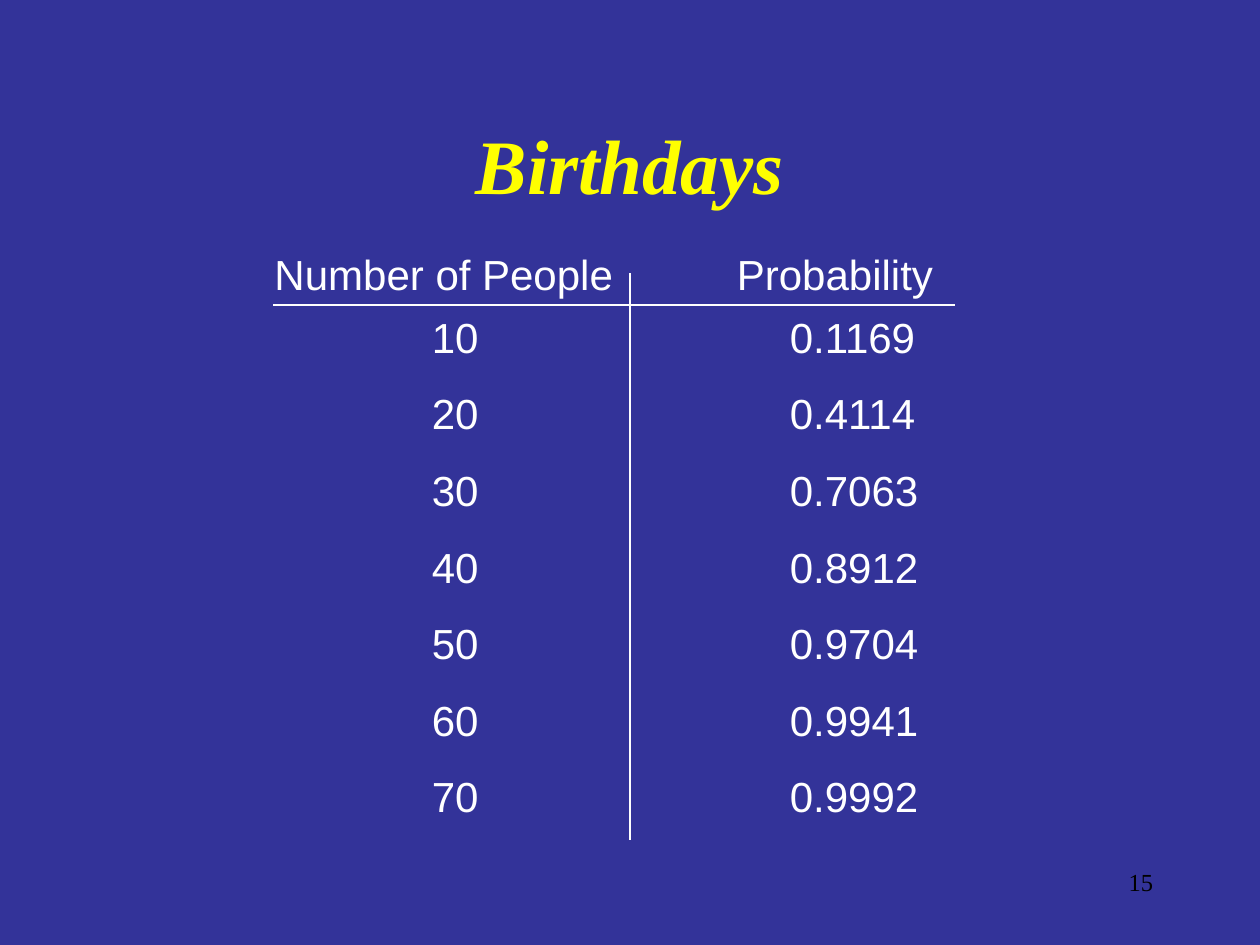
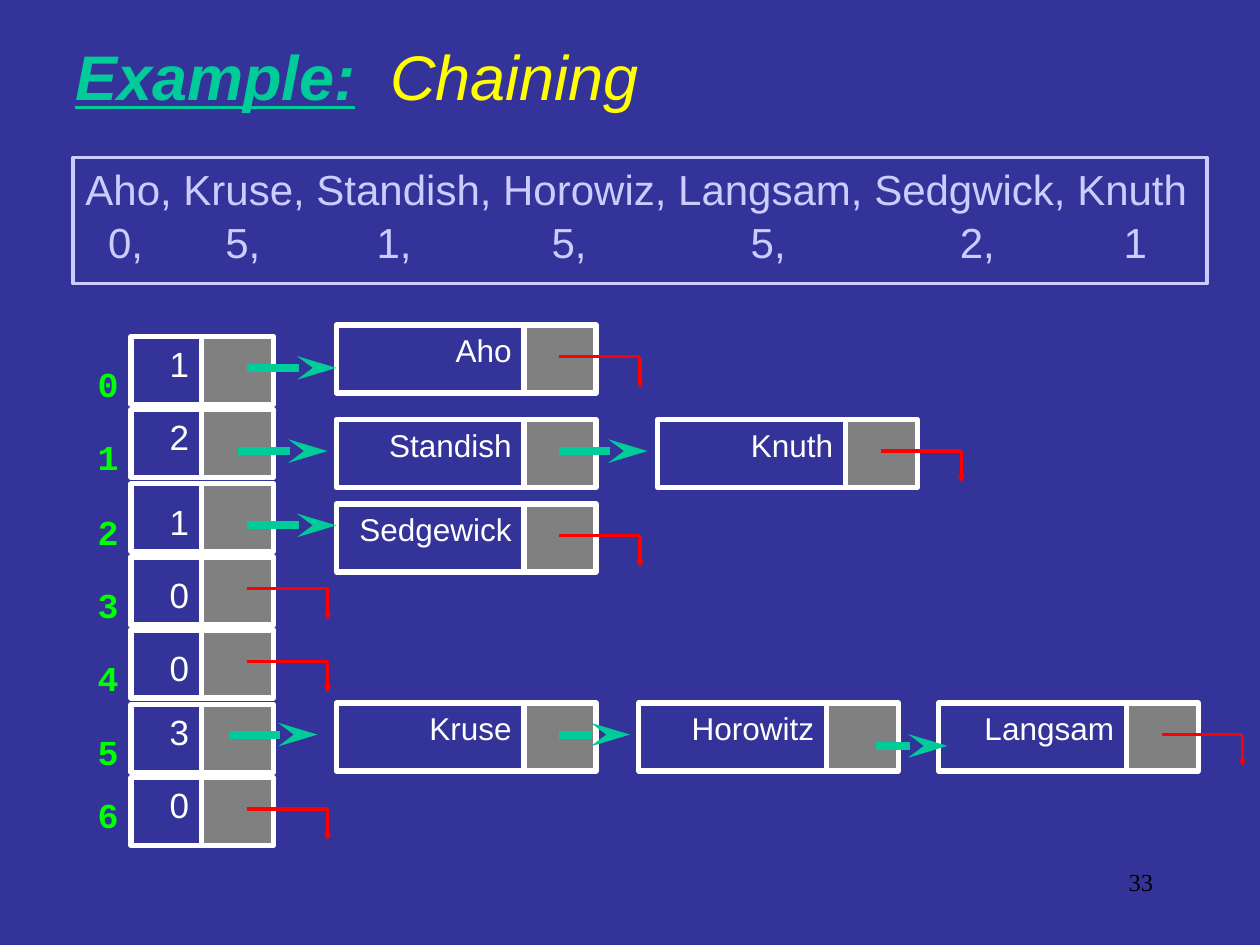
from pptx import Presentation
from pptx.dml.color import RGBColor
from pptx.enum.shapes import MSO_CONNECTOR as CONN, MSO_SHAPE as SHAPE
from pptx.enum.text import MSO_ANCHOR as ANCHOR, PP_ALIGN as ALIGN
from pptx.oxml.ns import qn
from pptx.util import Pt
from lxml.etree import SubElement

PX = 9144
COLORS = {
    "background": "333399",
    "title": "FFFF00",
    "accent": "00CC99",
    "text": "FFFFFF",
    "keys": "CCCCFF",
    "index": "00FF00",
    "pointer": "808080",
    "null": "FF0000",
    "number": "000000",
}
HEADS = {"stealth": "lg", "triangle": "sm"}


def color(name):
    return RGBColor.from_string(COLORS[name])


class Deck:
    def __init__(self):
        self.prs = Presentation()
        self.prs.slide_width, self.prs.slide_height = 1000 * PX, 750 * PX
        self.s = None

    def slide(self, number):
        self.s = self.prs.slides.add_slide(self.prs.slide_layouts[6])
        self.s.background.fill.solid()
        self.s.background.fill.fore_color.rgb = color("background")
        self.text(717, 683, 208, 50, [number], 14, "number", "Times New Roman", ALIGN.RIGHT)

    def fill_text(self, tf, lines, size, ink="text", font="Arial", align=ALIGN.LEFT,
                  bold=False, italic=False, before=0, tabs=()):
        tf.word_wrap = True
        for i, line in enumerate(lines):
            p = tf.paragraphs[0] if i == 0 else tf.add_paragraph()
            p.alignment = align
            p.space_before = Pt(before)
            if tabs:
                tab_list = SubElement(p._p.get_or_add_pPr(), qn("a:tabLst"))
                for pos in tabs:
                    SubElement(tab_list, qn("a:tab"), pos=str(pos * PX), algn="l")
            p.font.size, p.font.name = Pt(size), font
            p.font.bold, p.font.italic = bold, italic
            p.font.color.rgb = color(ink)
            p.add_run().text = line

    def text(self, x, y, w, h, lines, *style, anchor=ANCHOR.TOP, **options):
        sp = self.s.shapes.add_textbox(x * PX, y * PX, w * PX, h * PX)
        sp.text_frame.vertical_anchor = anchor
        self.fill_text(sp.text_frame, lines, *style, **options)
        return sp.text_frame

    def box(self, x, y, w, h, line="text", width=3, fill=None):
        sp = self.s.shapes.add_shape(SHAPE.RECTANGLE, x * PX, y * PX, w * PX, h * PX)
        sp.shadow.inherit = False
        sp.line.color.rgb, sp.line.width = color(line), Pt(width)
        if fill:
            sp.fill.solid()
            sp.fill.fore_color.rgb = color(fill)
        else:
            sp.fill.background()
        return sp

    def line(self, x1, y1, x2, y2, ink="text", width=1, head=None):
        c = self.s.shapes.add_connector(CONN.STRAIGHT, x1 * PX, y1 * PX, x2 * PX, y2 * PX)
        c.line.color.rgb, c.line.width = color(ink), Pt(width)
        if head:
            SubElement(c.line._get_or_add_ln(), qn("a:tailEnd"), type=head,
                       w="med" if head == "stealth" else "sm", len=HEADS[head])
        SubElement(c._element.spPr, qn("a:effectLst"))

    def cell(self, x, y, w, label, size, drop=0):
        sp = self.box(x, y, w, 54)
        tf = sp.text_frame
        tf.vertical_anchor = ANCHOR.TOP
        tf.margin_top = (5 + drop) * PX
        self.fill_text(tf, [label], size, align=ALIGN.RIGHT)
        self.box(x + w, y, 57, 54, fill="pointer")

    def link(self, x1, x2, y):
        self.line(x1, y, x2, y, "accent", 4.5, "stealth")

    def null(self, x, y):
        self.line(x, y, x + 64, y, "null", 2)
        self.line(x + 64, y, x + 64, y + 25, "null", 2, "triangle")


def birthdays(deck):
    deck.slide("15")
    deck.text(75, 67, 850, 125, ["Birthdays"], 44, "title", "Times New Roman", ALIGN.CENTER,
              bold=True, italic=True, anchor=ANCHOR.MIDDLE)
    people = [str(n) for n in range(10, 80, 10)]
    chances = ["0.1169", "0.4114", "0.7063", "0.8912", "0.9704", "0.9941", "0.9992"]
    deck.text(333, 242, 83, 415, people, 24, before=15)
    deck.text(617, 242, 125, 415, chances, 24, before=15)
    deck.line(217, 242, 758, 242)
    deck.line(500, 217, 500, 667)
    deck.text(208, 192, 342, 50, ["Number of People"], 24)
    deck.text(575, 192, 275, 50, ["Probability"], 24)


def chaining(deck):
    deck.slide("33")
    tf = deck.text(50, 25, 900, 70, ["Example:"], 36, "title", italic=True, tabs=[250])
    p = tf.paragraphs[0]
    r = p.runs[0]
    r.font.bold = r.font.underline = True
    r.font.color.rgb = color("accent")
    p.add_run().text = "\tChaining"

    deck.box(58, 125, 900, 100, "keys", 2)
    deck.text(58, 125, 925, 50, ["Aho, Kruse, Standish, Horowiz, Langsam, Sedgwick, Knuth"],
              24, "keys")
    deck.text(58, 167, 925, 50, ["\t0,\t5,\t1,\t5,\t5,\t2,\t1"], 24, "keys",
              tabs=[18, 111, 231, 370, 528, 694, 824])

    buckets = [("1", 0), ("2", 0), ("1", 8), ("0", 8), ("0", 8), ("3", 0), ("0", 0)]
    for i, (count, drop) in enumerate(buckets):
        y = 267 + round(i * 175 / 3)
        deck.cell(104, y, 56, count, 20, drop)
        label_drop = 8 if i == 6 else 16
        deck.text(15, y + label_drop, 89, 44, [str(i)], 20, "index", "Courier New",
                  ALIGN.RIGHT, bold=True)
        if count == "0":
            deck.null(196, y + 25)

    nodes = [
        ("Aho", 267, 258, True),
        ("Standish", 267, 333, False),
        ("Knuth", 522, 333, True),
        ("Sedgewick", 267, 400, True),
        ("Kruse", 267, 558, False),
        ("Horowitz", 507, 558, False),
        ("Langsam", 745, 558, True),
    ]
    for name, x, y, last in nodes:
        deck.cell(x, y, 149, name, 18)
        if last:
            deck.null(x + 177, y + 25)

    links = [(196, 267, 292), (189, 260, 358), (444, 514, 358), (196, 267, 417),
             (182, 252, 583), (444, 500, 583), (695, 752, 592)]
    for x1, x2, y in links:
        deck.link(x1, x2, y)


def main():
    deck = Deck()
    birthdays(deck)
    chaining(deck)
    deck.prs.save("out.pptx")


if __name__ == "__main__":
    main()
